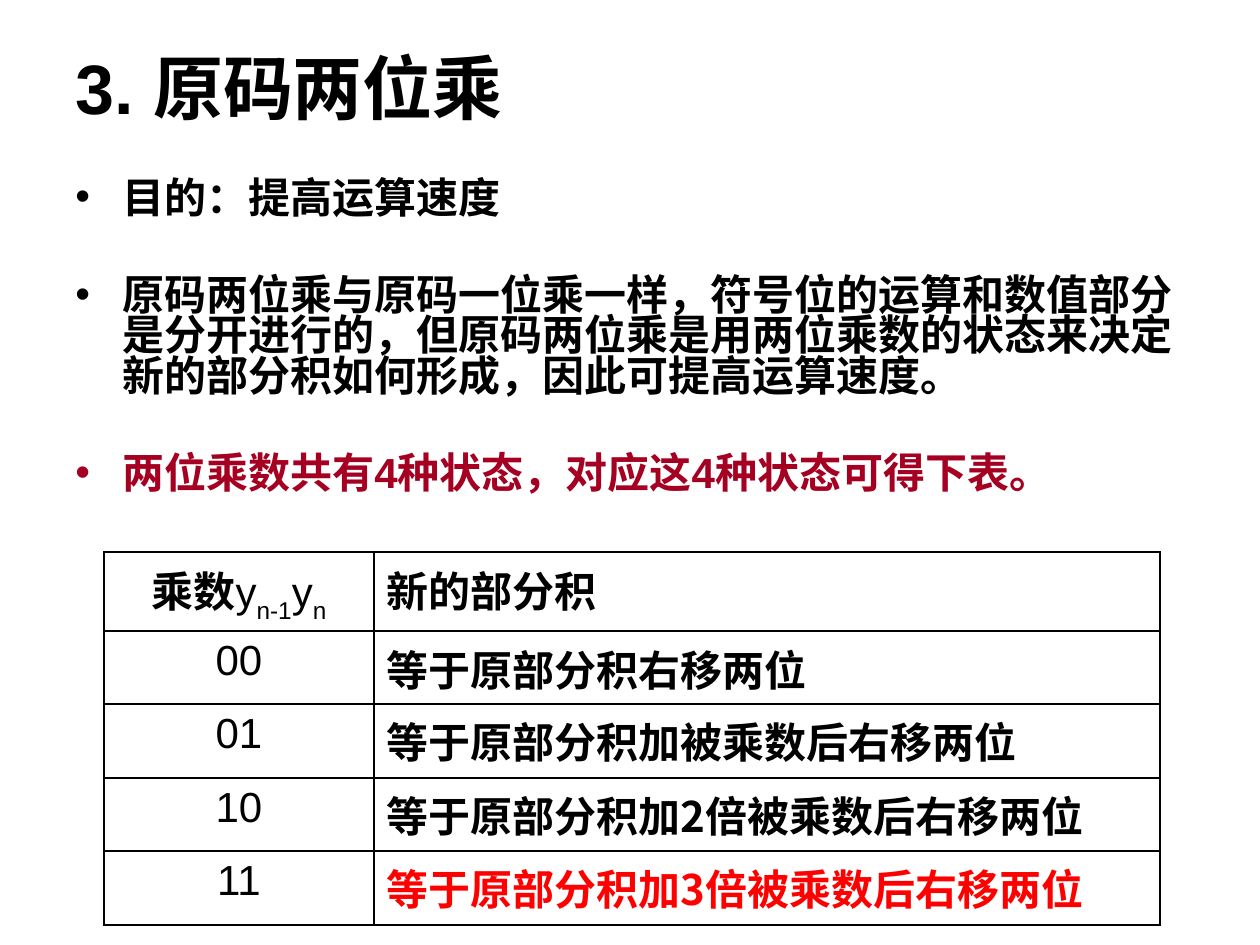
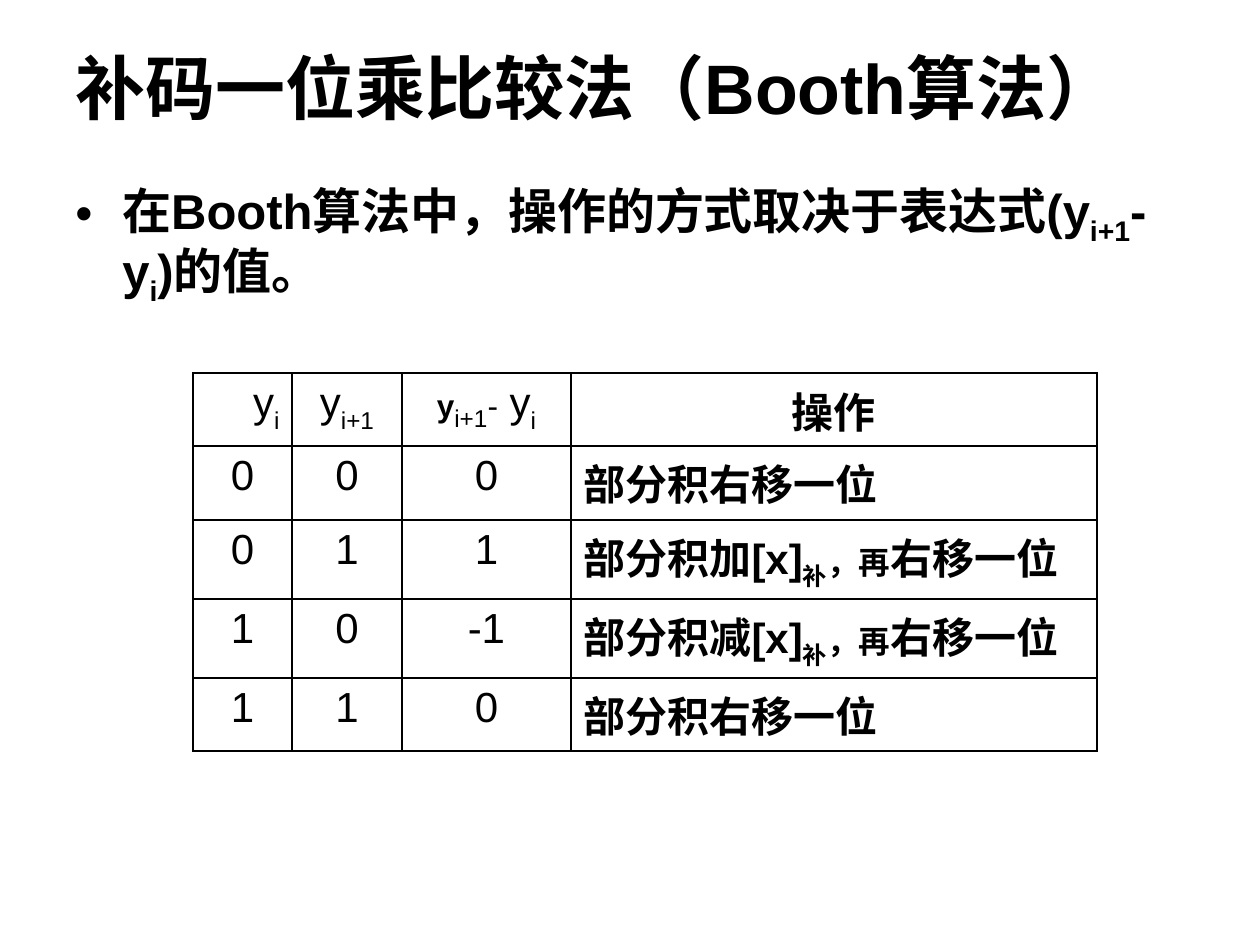
from lxml.etree import SubElement
from pptx import Presentation
from pptx.dml.color import RGBColor
from pptx.enum.text import MSO_ANCHOR, PP_ALIGN
from pptx.oxml.ns import qn
from pptx.util import Emu, Pt

PX_PER_INCH = 126
BLACK = RGBColor(0x00, 0x00, 0x00)
WHITE = RGBColor(0xFF, 0xFF, 0xFF)
CRIMSON = RGBColor(0xA5, 0x00, 0x21)
RED = RGBColor(0xFF, 0x00, 0x00)
LATIN, CJK = "Arial", "Noto Sans CJK SC"
LEFT, CENTER, RIGHT = PP_ALIGN.LEFT, PP_ALIGN.CENTER, PP_ALIGN.RIGHT

TITLE_BOX = (63, 38, 1134, 97)
BULLET_INDENT = 47


def plain(text, **style):
    return (text, {"bold": False, **style})


def strong(text, **style):
    return (text, {"bold": True, **style})


def chinese(text, **style):
    return strong(text, font=CJK, **style)


def subscript(text, baseline=-30, **style):
    return plain(text, baseline=baseline, **style)


def operation(sign):
    return [
        strong(f"部分积{sign}[x]"),
        strong("补", baseline=-25),
        strong("，再", size=18),
        chinese("右移一位"),
    ]


SHIFT_ONLY = [chinese("部分积右移一位")]

SLIDES = [
    {
        "title": "3. 原码两位乘",
        "body": {
            "box": (63, 175, 1134, 367), "size": 24, "line": 23.1, "gap": 32.5,
            "bullets": [
                [strong("目的：提高运算速度")],
                [strong("原码两位乘与原码一位乘一样，符号位的运算和数值部分是分开进行的，"
                        "但原码两位乘是用两位乘数的状态来决定新的部分积如何形成，"
                        "因此可提高运算速度。")],
                [strong("两位乘数共有4种状态，对应这4种状态可得下表。", color=CRIMSON)],
            ],
        },
        "table": {
            "corner": (104, 552),
            "columns": (270, 786),
            "heights": (79, 73, 74, 73, 74),
            "aligns": (CENTER, LEFT),
            "header_aligns": (CENTER, LEFT),
            "rows": [
                [[strong("乘数"), plain("y"), subscript("n-1"), plain("y"), subscript("n")],
                 [chinese("新的部分积")]],
                [[plain("00")], [chinese("等于原部分积右移两位")]],
                [[plain("01")], [chinese("等于原部分积加被乘数后右移两位")]],
                [[plain("10")], [chinese("等于原部分积加2倍被乘数后右移两位")]],
                [[plain("11")], [chinese("等于原部分积加3倍被乘数后右移两位", color=RED)]],
            ],
        },
    },
    {
        "title": "补码一位乘比较法（Booth算法）",
        "body": {
            "box": (63, 181, 1135, 139), "size": 28, "line": 34.3, "gap": 0,
            "bullets": [
                [strong("在Booth算法中，操作的方式取决于表达式(y"),
                 strong("i+1", baseline=-25), strong("-y"),
                 strong("i", baseline=-25), strong(")的值。")],
            ],
        },
        "table": {
            "corner": (193, 373),
            "columns": (99, 110, 169, 526),
            "heights": (73, 74, 79, 79, 73),
            "aligns": (CENTER, CENTER, CENTER, LEFT),
            "header_aligns": (RIGHT, CENTER, CENTER, CENTER),
            "rows": [
                [[plain("y"), subscript("i")],
                 [plain("y"), subscript("i+1")],
                 [strong("y", size=18), subscript("i+1", -25), plain("-", size=18),
                  plain(" y"), subscript("i")],
                 [chinese("操作")]],
                [[plain("0")], [plain("0")], [plain("0")], SHIFT_ONLY],
                [[plain("0")], [plain("1")], [plain("1")], operation("加")],
                [[plain("1")], [plain("0")], [plain("-1")], operation("减")],
                [[plain("1")], [plain("1")], [plain("0")], SHIFT_ONLY],
            ],
        },
    },
]


def px(length):
    return Emu(round(length * 914400 / PX_PER_INCH))


def write_runs(paragraph, runs, default_size):
    for text, style in runs:
        run = paragraph.add_run()
        run.text = text
        font = run.font
        font.size = Pt(style.get("size", default_size))
        font.bold = style["bold"]
        font.name = style.get("font", LATIN)
        font.color.rgb = style.get("color", BLACK)
        properties = font._element
        SubElement(properties, qn("a:ea"), typeface=CJK)
        if "baseline" in style:
            properties.set("baseline", str(style["baseline"] * 1000))


def add_text_frame(slide, box, anchor):
    text_frame = slide.shapes.add_textbox(*map(px, box)).text_frame
    text_frame.word_wrap = True
    text_frame.vertical_anchor = anchor
    return text_frame


def add_title(slide, title):
    text_frame = add_text_frame(slide, TITLE_BOX, MSO_ANCHOR.MIDDLE)
    write_runs(text_frame.paragraphs[0], [strong(title)], 40)


def add_bullets(slide, body):
    text_frame = add_text_frame(slide, body["box"], MSO_ANCHOR.TOP)
    for index, runs in enumerate(body["bullets"]):
        paragraph = text_frame.add_paragraph() if index else text_frame.paragraphs[0]
        paragraph.line_spacing = Pt(body["line"])
        paragraph.space_before = Pt(body["gap"] if index else 0)
        properties = paragraph._p.get_or_add_pPr()
        properties.set("marL", str(px(BULLET_INDENT)))
        properties.set("indent", str(-px(BULLET_INDENT)))
        SubElement(properties, qn("a:buFont"), typeface=LATIN)
        SubElement(properties, qn("a:buChar"), char="•")
        write_runs(paragraph, runs, body["size"])


def outline_cell(cell):
    properties = cell._tc.get_or_add_tcPr()
    for side in ("lnL", "lnR", "lnT", "lnB"):
        line = SubElement(properties, qn(f"a:{side}"), w=str(Pt(1)))
        fill = SubElement(line, qn("a:solidFill"))
        SubElement(fill, qn("a:srgbClr"), val=str(BLACK))


def add_grid(slide, content):
    rows, columns, heights = content["rows"], content["columns"], content["heights"]
    size = (sum(columns), sum(heights))
    table = slide.shapes.add_table(
        len(rows), len(columns), *map(px, content["corner"] + size)).table
    table.first_row = table.horz_banding = False
    for column, width in zip(table.columns, columns):
        column.width = px(width)
    for row_index, (row, height) in enumerate(zip(rows, heights)):
        table.rows[row_index].height = px(height)
        aligns = content["aligns"] if row_index else content["header_aligns"]
        for column_index, (runs, align) in enumerate(zip(row, aligns)):
            cell = table.cell(row_index, column_index)
            outline_cell(cell)
            cell.fill.solid()
            cell.fill.fore_color.rgb = WHITE
            paragraph = cell.text_frame.paragraphs[0]
            paragraph.alignment = align
            write_runs(paragraph, runs, 24)


def main():
    presentation = Presentation()
    presentation.slide_width, presentation.slide_height = px(1260), px(945)
    for content in SLIDES:
        slide = presentation.slides.add_slide(presentation.slide_layouts[6])
        add_title(slide, content["title"])
        add_bullets(slide, content["body"])
        add_grid(slide, content["table"])
    presentation.save("out.pptx")


if __name__ == "__main__":
    main()
